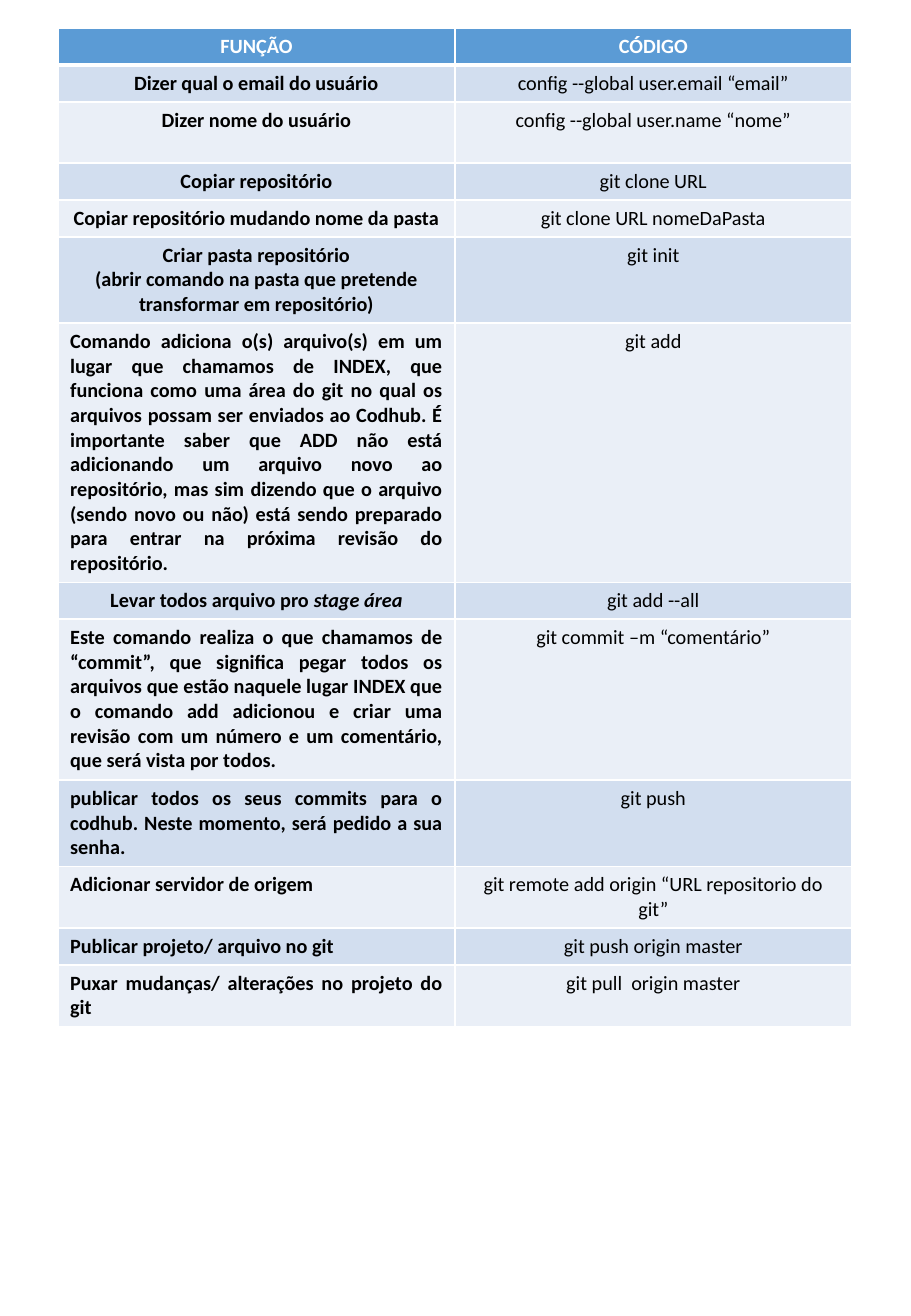
from lxml.etree import SubElement
from pptx import Presentation
from pptx.dml.color import RGBColor
from pptx.enum.text import PP_ALIGN
from pptx.oxml.ns import qn
from pptx.util import Inches, Pt

PIXEL = Inches(1) / 121.5
COLORS = {
    "header": "5B9BD5",
    "odd_row": "D2DEEF",
    "even_row": "EAEFF7",
    "white": "FFFFFF",
    "black": "000000",
}
CENTER, JUSTIFY = PP_ALIGN.CENTER, PP_ALIGN.JUSTIFY
ROWS = [
    (37, CENTER, "FUNÇÃO", "CÓDIGO"),
    (37, CENTER, "Dizer qual o email do usuário", "config --global user.email “email”"),
    (61, CENTER, "Dizer nome do usuário", "config --global user.name “nome”"),
    (37, CENTER, "Copiar repositório", "git clone URL"),
    (37, CENTER, "Copiar repositório mudando nome da pasta", "git clone URL nomeDaPasta"),
    (86, CENTER, "Criar pasta repositório\n(abrir comando na pasta que pretende "
     "transformar em repositório)", "git init"),
    (259, JUSTIFY, "Comando adiciona o(s) arquivo(s) em um lugar que chamamos de INDEX, "
     "que funciona como uma área do git no qual os arquivos possam ser enviados ao Codhub. "
     "É importante saber que ADD não está adicionando um arquivo novo ao repositório, "
     "mas sim dizendo que o arquivo (sendo novo ou não) está sendo preparado para entrar "
     "na próxima revisão do repositório.", "git add"),
    (37, CENTER, "Levar todos arquivo pro *stage área", "git add --all"),
    (161, JUSTIFY, "Este comando realiza o que chamamos de “commit”, que significa pegar "
     "todos os arquivos que estão naquele lugar INDEX que o comando add adicionou e criar "
     "uma revisão com um número e um comentário, que será vista por todos.",
     "git commit –m “comentário”"),
    (86, JUSTIFY, "publicar todos os seus commits para o codhub. Neste momento, "
     "será pedido a sua senha.", "git push"),
    (61, JUSTIFY, "Adicionar servidor de origem",
     "git remote add origin “URL repositorio do git”"),
    (37, JUSTIFY, "Publicar projeto/ arquivo no git", "git push origin master"),
    (61, JUSTIFY, "Puxar mudanças/ alterações no projeto do git", "git pull  origin master"),
]


def pixels(value):
    return round(value * PIXEL)


def add_border(cell, side, width):
    line = SubElement(cell._tc.get_or_add_tcPr(), qn(f"a:{side}"), w=str(Pt(width)))
    fill = SubElement(line, qn("a:solidFill"))
    SubElement(fill, qn("a:srgbClr"), val=COLORS["white"])


presentation = Presentation()
presentation.slide_width = Inches(7.5)
presentation.slide_height = Inches(10.83)
slide = presentation.slides.add_slide(presentation.slide_layouts[6])

total_height = sum(row[0] for row in ROWS)
table = slide.shapes.add_table(
    len(ROWS), 2, pixels(58), pixels(28), pixels(794), pixels(total_height)
).table
for column in table.columns:
    column.width = pixels(397)

for row_index, (height, function_alignment, *texts) in enumerate(ROWS):
    table.rows[row_index].height = pixels(height)
    is_header = row_index == 0
    band = "header" if is_header else "odd_row" if row_index % 2 else "even_row"
    for column_index, text in enumerate(texts):
        cell = table.cell(row_index, column_index)
        for side in ("lnL", "lnR", "lnT", "lnB"):
            is_thick = (row_index, side) in ((0, "lnB"), (1, "lnT"))
            add_border(cell, side, 3 if is_thick else 1)
        cell.fill.solid()
        cell.fill.fore_color.rgb = RGBColor.from_string(COLORS[band])

        paragraph = cell.text_frame.paragraphs[0]
        plain, _, italic = text.partition("*")
        paragraph.text = plain
        if italic:
            run = paragraph.add_run()
            run.text = italic
            run.font.italic = True
        paragraph.alignment = CENTER if column_index else function_alignment
        paragraph.font.name = "Calibri"
        paragraph.font.size = Pt(12)
        paragraph.font.bold = is_header or column_index == 0
        paragraph.font.color.rgb = RGBColor.from_string(
            COLORS["white" if is_header else "black"]
        )

presentation.save("out.pptx")
